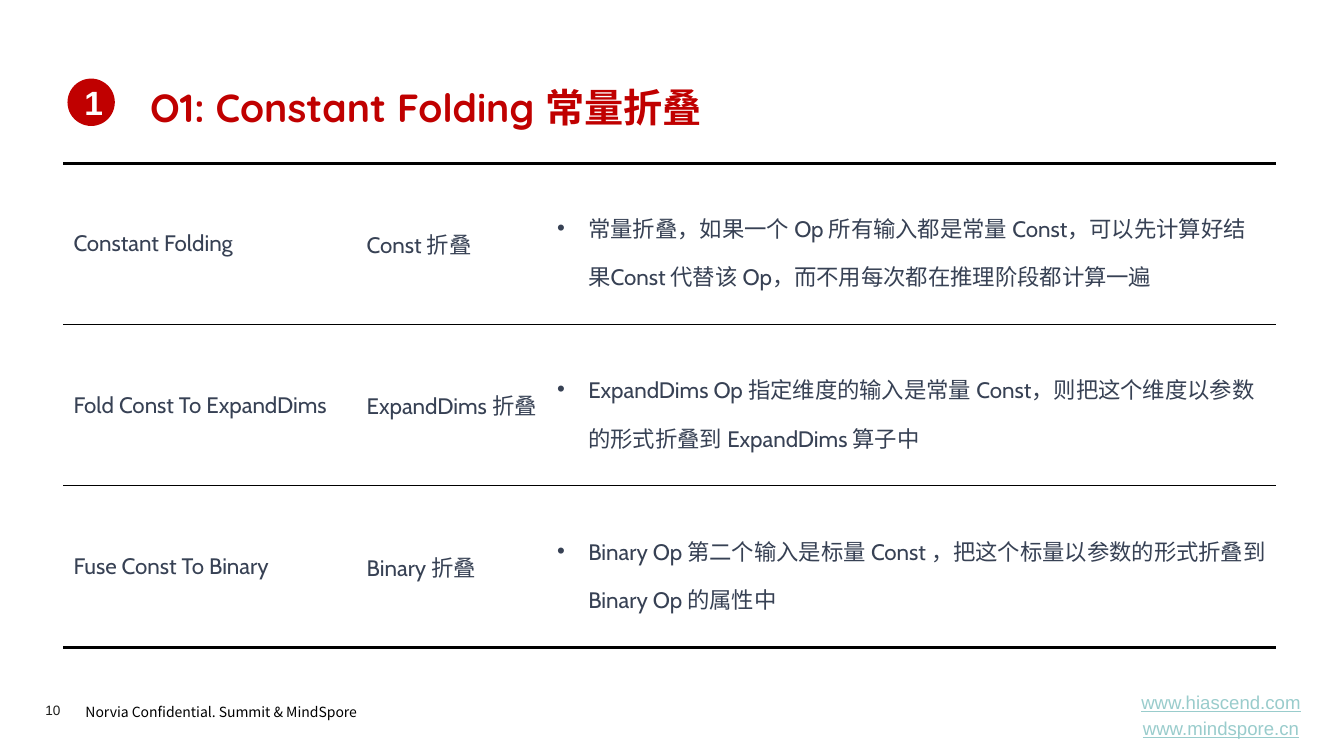
from lxml import etree
from pptx import Presentation
from pptx.dml.color import RGBColor
from pptx.enum.shapes import MSO_SHAPE
from pptx.enum.text import MSO_ANCHOR, PP_ALIGN
from pptx.oxml.ns import qn
from pptx.util import Inches, Pt

LEFT, CENTER = PP_ALIGN.LEFT, PP_ALIGN.CENTER
TOP, MIDDLE = MSO_ANCHOR.TOP, MSO_ANCHOR.MIDDLE
OVAL = MSO_SHAPE.OVAL

RED, WHITE, BLACK, SLATE, TEAL = "C00000", "FFFFFF", "000000", "374154", "99CCCC"
CJK_FONT = "Noto Sans CJK SC"

TITLE = "O1: Constant Folding 常量折叠"
SECTION_NUMBER = "1"
PASSES = [
    ("Constant Folding", "Const 折叠",
     "常量折叠，如果一个 Op 所有输入都是常量 Const，可以先计算好结果Const 代替该 Op，而不用每次都在推理阶段都计算一遍"),
    ("Fold Const To ExpandDims", "ExpandDims 折叠",
     "ExpandDims Op 指定维度的输入是常量 Const，则把这个维度以参数的形式折叠到 ExpandDims 算子中"),
    ("Fuse Const To Binary", "Binary 折叠",
     "Binary Op 第二个输入是标量 Const ，把这个标量以参数的形式折叠到 Binary Op 的属性中"),
]
COLUMN_WIDTHS = [2.91, 1.89, 7.24]
ROW_HEIGHT = 1.6
RULE_WIDTHS = [2.25, 1, 1, 2.25]
FOOTER = "Norvia Confidential. Summit & MindSpore"
PAGE_NUMBER = "10"
SITES = ["www.hiascend.com", "www.mindspore.cn"]


def rgb(color):
    return RGBColor.from_string(color)


def style(paragraph, font_name, size, color, bold=False, align=LEFT):
    paragraph.alignment = align
    font = paragraph.font
    font.name, font.size, font.bold = font_name, Pt(size), bold
    font.color.rgb = rgb(color)
    defaults = paragraph._p.pPr.find(qn("a:defRPr"))
    latin = defaults.find(qn("a:latin"))
    latin.addnext(defaults.makeelement(qn("a:ea"), {"typeface": CJK_FONT}))


def place(shape, left, top, width, height):
    shape.left, shape.top = Inches(left), Inches(top)
    shape.width, shape.height = Inches(width), Inches(height)


def add_text(slide, box, lines, anchor=TOP, margins=(0.1, 0.05)):
    """Add a wrapping text box and return its paragraphs."""
    frame = slide.shapes.add_textbox(*map(Inches, box)).text_frame
    frame.word_wrap = True
    frame.vertical_anchor = anchor
    frame.margin_left = frame.margin_right = Inches(margins[0])
    frame.margin_top = frame.margin_bottom = Inches(margins[1])
    frame.text = "\n".join(lines)
    return frame.paragraphs


def add_bullet(paragraph):
    properties = paragraph._p.get_or_add_pPr()
    properties.set("marL", str(Inches(0.31)))
    properties.set("indent", str(-Inches(0.31)))
    etree.SubElement(properties, qn("a:buFont"), typeface="Arial")
    etree.SubElement(properties, qn("a:buChar"), char="•")


def set_borders(cell, top, bottom):
    """Draw horizontal rules of the given point widths and no side lines."""
    properties = cell._tc.get_or_add_tcPr()
    for index, (side, width) in enumerate(
            [("lnL", 0), ("lnR", 0), ("lnT", top), ("lnB", bottom)]):
        line = properties.makeelement(qn(f"a:{side}"), {"w": str(Pt(width))})
        if width:
            fill = etree.SubElement(line, qn("a:solidFill"))
            etree.SubElement(fill, qn("a:srgbClr"), val=BLACK)
        else:
            etree.SubElement(line, qn("a:noFill"))
        properties.insert(index, line)


def add_heading(slide):
    title = slide.shapes.title
    place(title, 1.39, 0.74, 11.28, 0.64)
    title.text_frame.text = TITLE
    title.text_frame.vertical_anchor = MIDDLE
    style(title.text_frame.paragraphs[0], "Quicksand", 28, RED, bold=True)

    badge = slide.shapes.add_shape(OVAL, *map(Inches, (0.67, 0.78, 0.47, 0.47)))
    badge.shadow.inherit = False
    badge.fill.solid()
    badge.fill.fore_color.rgb = rgb(RED)
    badge.line.fill.background()
    badge.text_frame.text = SECTION_NUMBER
    badge.text_frame.vertical_anchor = MIDDLE
    style(badge.text_frame.paragraphs[0], "Arial", 24, WHITE, bold=True, align=CENTER)


def add_pass_table(slide):
    box = (0.63, 1.62, sum(COLUMN_WIDTHS), ROW_HEIGHT * len(PASSES))
    table = slide.shapes.add_table(
        len(PASSES), len(COLUMN_WIDTHS), *map(Inches, box)).table
    table.first_row = table.horz_banding = False
    for column, width in zip(table.columns, COLUMN_WIDTHS):
        column.width = Inches(width)
    for row, texts in enumerate(PASSES):
        table.rows[row].height = Inches(ROW_HEIGHT)
        for column, text in enumerate(texts):
            cell = table.cell(row, column)
            cell.text = text
            cell.vertical_anchor = MIDDLE
            cell.fill.solid()
            cell.fill.fore_color.rgb = rgb(WHITE)
            set_borders(cell, RULE_WIDTHS[row], RULE_WIDTHS[row + 1])
            paragraph = cell.text_frame.paragraphs[0]
            if column == len(texts) - 1:
                add_bullet(paragraph)
                paragraph.line_spacing = 1.5
            style(paragraph, "Cabin", 16, SLATE)


def add_footer(slide):
    notice, = add_text(slide, (0.75, 6.9, 3.13, 0.29), [FOOTER])
    notice.line_spacing = 1.2
    style(notice, CJK_FONT, 10, BLACK)

    number, = add_text(slide, (0.45, 6.96, 0.55, 0.16), [PAGE_NUMBER], margins=(0, 0))
    style(number, "Arial", 9.7, "1D1D1B")

    sites = add_text(slide, (11.04, 6.88, 2.16, 0.43), SITES, anchor=MIDDLE)
    for index, site in enumerate(sites):
        if index:
            site.space_before = Pt(2.7)
        style(site, "Arial", 13.3, TEAL, align=CENTER)
        site.font.underline = True


def main():
    presentation = Presentation()
    presentation.slide_width = Inches(13.34)
    presentation.slide_height = Inches(7.5)
    title_only = presentation.slide_layouts[5]
    slide = presentation.slides.add_slide(title_only)
    add_footer(slide)
    add_heading(slide)
    add_pass_table(slide)
    presentation.save("out.pptx")


if __name__ == "__main__":
    main()
